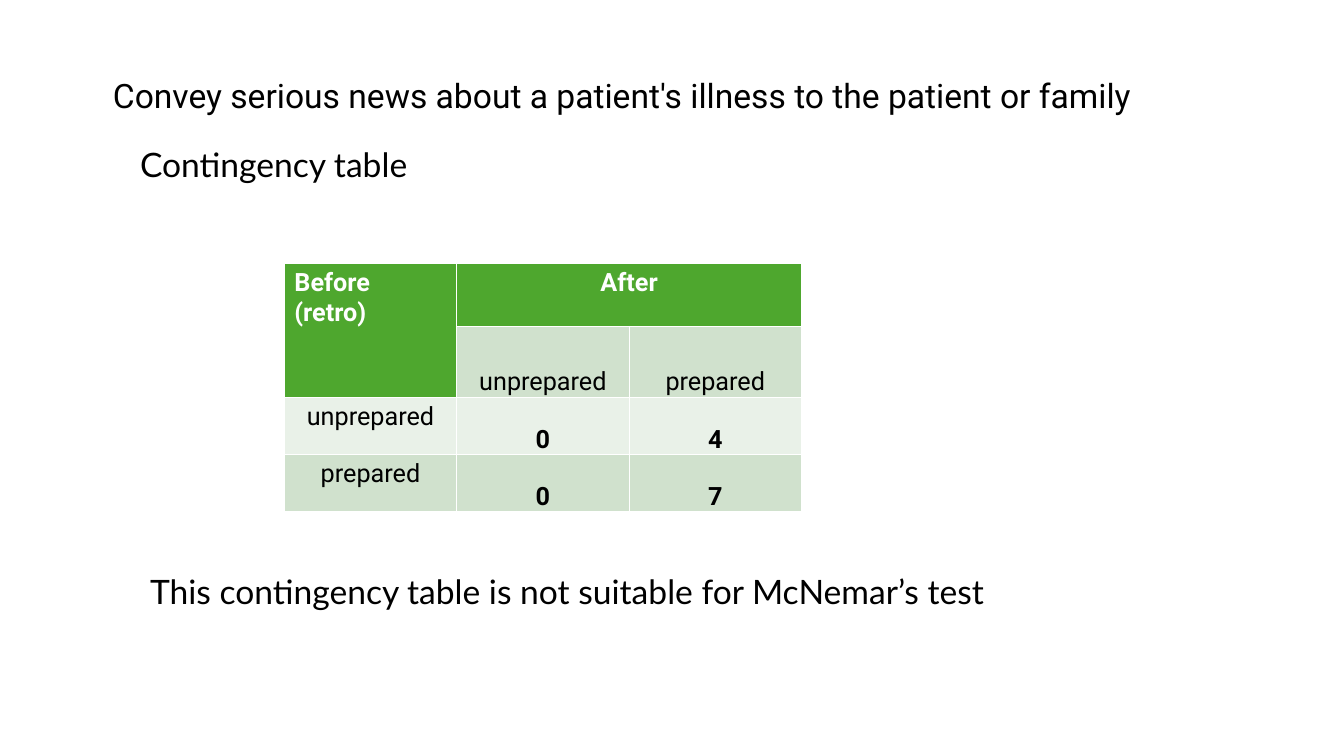
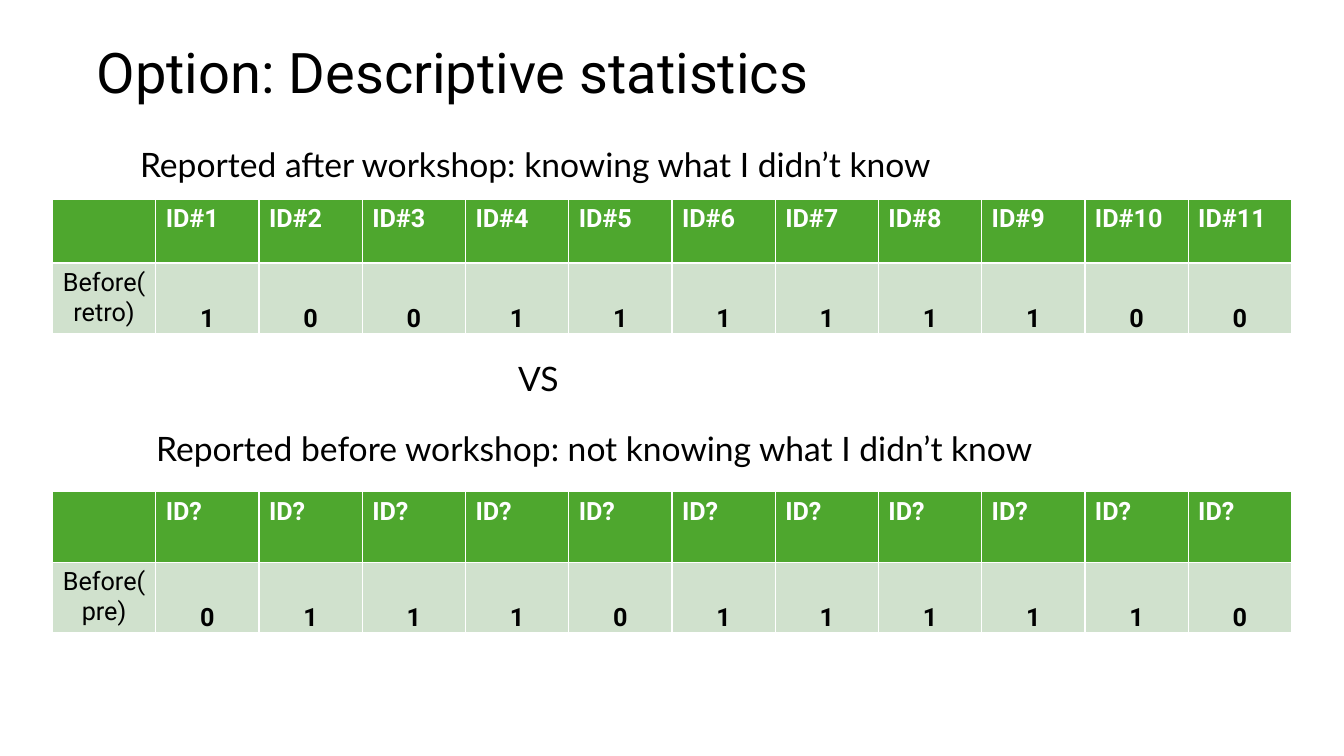
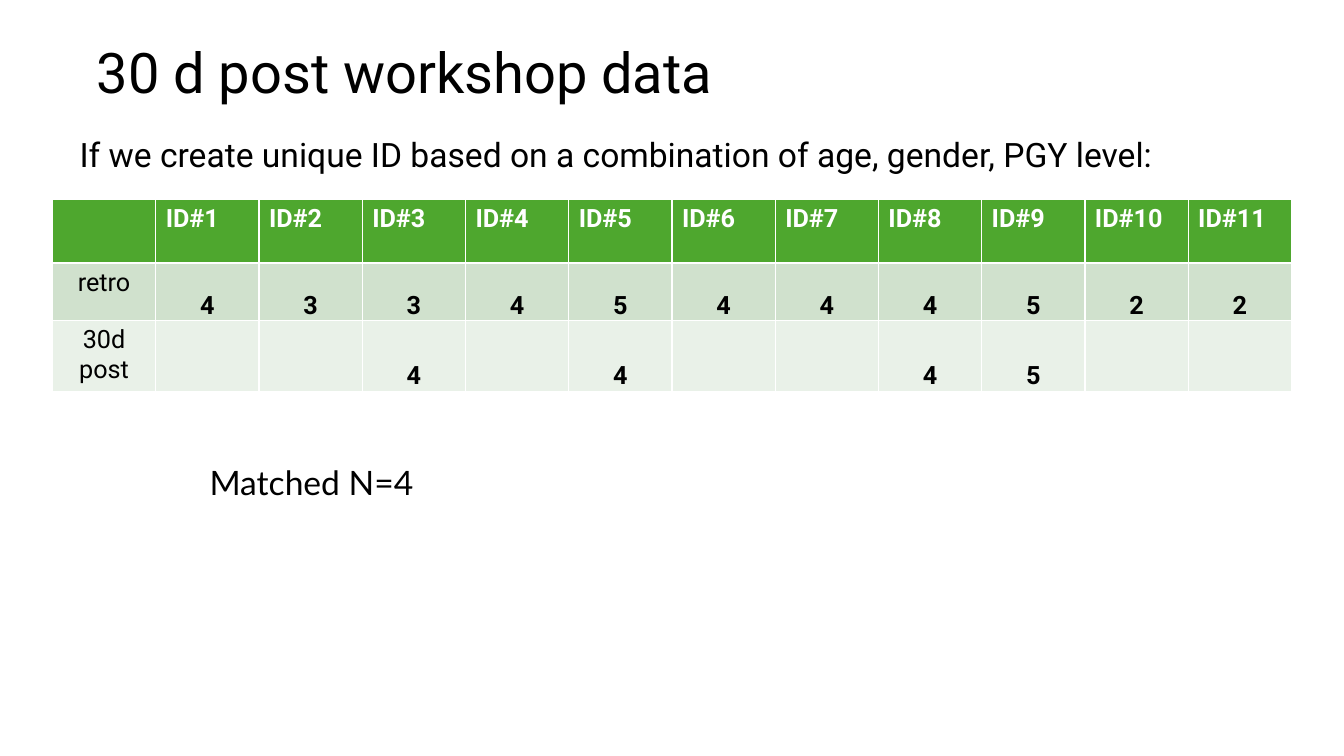
from dataclasses import dataclass

from pptx import Presentation
from pptx.dml.color import RGBColor
from pptx.enum.text import MSO_ANCHOR, MSO_AUTO_SIZE, PP_ALIGN
from pptx.util import Pt

EMU_PER_PX = 9144  # 100 px to the inch
TITLE_ONLY = 5


@dataclass(frozen=True)
class Theme:
    text: RGBColor = RGBColor(0x00, 0x00, 0x00)
    header_text: RGBColor = RGBColor(0xFF, 0xFF, 0xFF)
    header_fill: RGBColor = RGBColor(0x4E, 0xA7, 0x2E)
    odd_row: RGBColor = RGBColor(0xD0, 0xE1, 0xCD)
    even_row: RGBColor = RGBColor(0xE9, 0xF1, 0xE8)
    title_font: str = "Roboto"
    body_font: str = "Lato"
    title_size: int = 40
    body_size: int = 24
    table_size: int = 18


THEME = Theme()


def px(length):
    return length * EMU_PER_PX


def style_text(frame, size, font, color=THEME.text, bold=False, align=PP_ALIGN.LEFT):
    for paragraph in frame.paragraphs:
        paragraph.alignment = align
        for run in paragraph.runs:
            run.font.size = Pt(size)
            run.font.name = font
            run.font.bold = bold
            run.font.color.rgb = color


def add_titled_slide(deck, title, left=86, top=32, width=1119, height=77,
                     size=THEME.title_size):
    slide = deck.slides.add_slide(deck.slide_layouts[TITLE_ONLY])
    heading = slide.shapes.title
    heading.left, heading.top = px(left), px(top)
    heading.width, heading.height = px(width), px(height)
    frame = heading.text_frame
    frame.text = title
    frame.word_wrap = True
    frame.auto_size = MSO_AUTO_SIZE.NONE
    frame.vertical_anchor = MSO_ANCHOR.TOP
    style_text(frame, size, THEME.title_font)
    return slide


def add_note(slide, text, left, top, width, font=THEME.body_font):
    note = slide.shapes.add_textbox(px(left), px(top), px(width), px(50))
    frame = note.text_frame
    frame.text = text
    frame.word_wrap = True
    style_text(frame, THEME.body_size, font)


def fill_header_cell(cell, text):
    cell.text_frame.text = text
    style_text(cell.text_frame, THEME.table_size, THEME.title_font,
               THEME.header_text, bold=True)


def fill_body_cell(cell, value, is_row_label):
    """Numbers are bold; all but the row label sit at the foot of the cell."""
    cell.text_frame.text = str(value)
    style_text(cell.text_frame, THEME.table_size, THEME.title_font,
               bold=isinstance(value, int), align=PP_ALIGN.CENTER)
    if not is_row_label:
        cell.vertical_anchor = MSO_ANCHOR.BOTTOM
        cell.margin_left = cell.margin_top = cell.margin_right = px(1)
        cell.margin_bottom = 0


def add_data_table(slide, rows, left, top, width, row_heights):
    """Draw a table with one header row; None leaves a cell empty."""
    column_count = len(rows[0])
    table = slide.shapes.add_table(len(rows), column_count, px(left), px(top),
                                   px(width), px(sum(row_heights))).table
    for column in table.columns:
        column.width = px(width) // column_count
    for row_index, (values, height) in enumerate(zip(rows, row_heights)):
        table.rows[row_index].height = px(height)
        band = THEME.odd_row if row_index % 2 else THEME.even_row
        for column_index, value in enumerate(values):
            cell = table.cell(row_index, column_index)
            cell.fill.solid()
            cell.fill.fore_color.rgb = band if row_index else THEME.header_fill
            if value is None:
                continue
            if row_index:
                fill_body_cell(cell, value, column_index == 0)
            else:
                fill_header_cell(cell, value)
    return table


def add_id_table(slide, ids, rows, top, row_heights):
    add_data_table(slide, [[None, *ids], *rows], 52, top, 1229, row_heights)


def add_contingency_slide(deck):
    slide = add_titled_slide(
        deck, "Convey serious news about a patient's illness to the patient or family",
        102, 69, 1044, 50, THEME.body_size)
    add_note(slide, "Contingency table", 129, 138, 338)
    rows = [
        ["Before (retro)", "After", None],
        [None, "unprepared", "prepared"],
        ["unprepared", 0, 4],
        ["prepared", 0, 7],
    ]
    table = add_data_table(slide, rows, 282, 261, 513, [63, 68, 57, 57])
    before, after = table.cell(0, 0), table.cell(0, 1)
    before.merge(table.cell(1, 0))
    after.merge(table.cell(0, 2))
    after.text_frame.paragraphs[0].alignment = PP_ALIGN.CENTER
    add_note(slide, "This contingency table is not suitable for McNemar’s test",
             139, 561, 867)


def add_descriptive_slide(deck, known_ids):
    slide = add_titled_slide(deck, "Option: Descriptive statistics")
    add_note(slide, "Reported after workshop: knowing what I didn’t know",
             129, 138, 845)
    add_id_table(slide, known_ids,
                 [["Before(retro)", 1, 0, 0, 1, 1, 1, 1, 1, 1, 0, 0]],
                 198, [63, 69])
    add_note(slide, "VS", 504, 350, 820)
    add_note(slide, "Reported before workshop: not knowing what I didn’t know",
             145, 420, 1158)
    add_id_table(slide, ["ID?"] * len(known_ids),
                 [["Before(pre)", 0, 1, 1, 1, 0, 1, 1, 1, 1, 1, 0]],
                 488, [70, 70])


def add_follow_up_slide(deck, known_ids):
    slide = add_titled_slide(deck, "30 d post workshop data")
    add_note(slide,
             "If we create unique ID based on a combination of age, gender, PGY level:",
             69, 128, 1119, THEME.title_font)
    rows = [
        ["retro", 4, 3, 3, 4, 5, 4, 4, 4, 5, 2, 2],
        ["30d post", None, None, 4, None, 4, None, None, 4, 5, None, None],
    ]
    add_id_table(slide, known_ids, rows, 198, [63, 57, 69])
    add_note(slide, "Matched N=4", 198, 453, 845)


def main():
    deck = Presentation()
    deck.slide_width, deck.slide_height = px(1333), px(750)
    known_ids = [f"ID#{number}" for number in range(1, 12)]
    add_contingency_slide(deck)
    add_descriptive_slide(deck, known_ids)
    add_follow_up_slide(deck, known_ids)
    deck.save("out.pptx")


if __name__ == "__main__":
    main()
